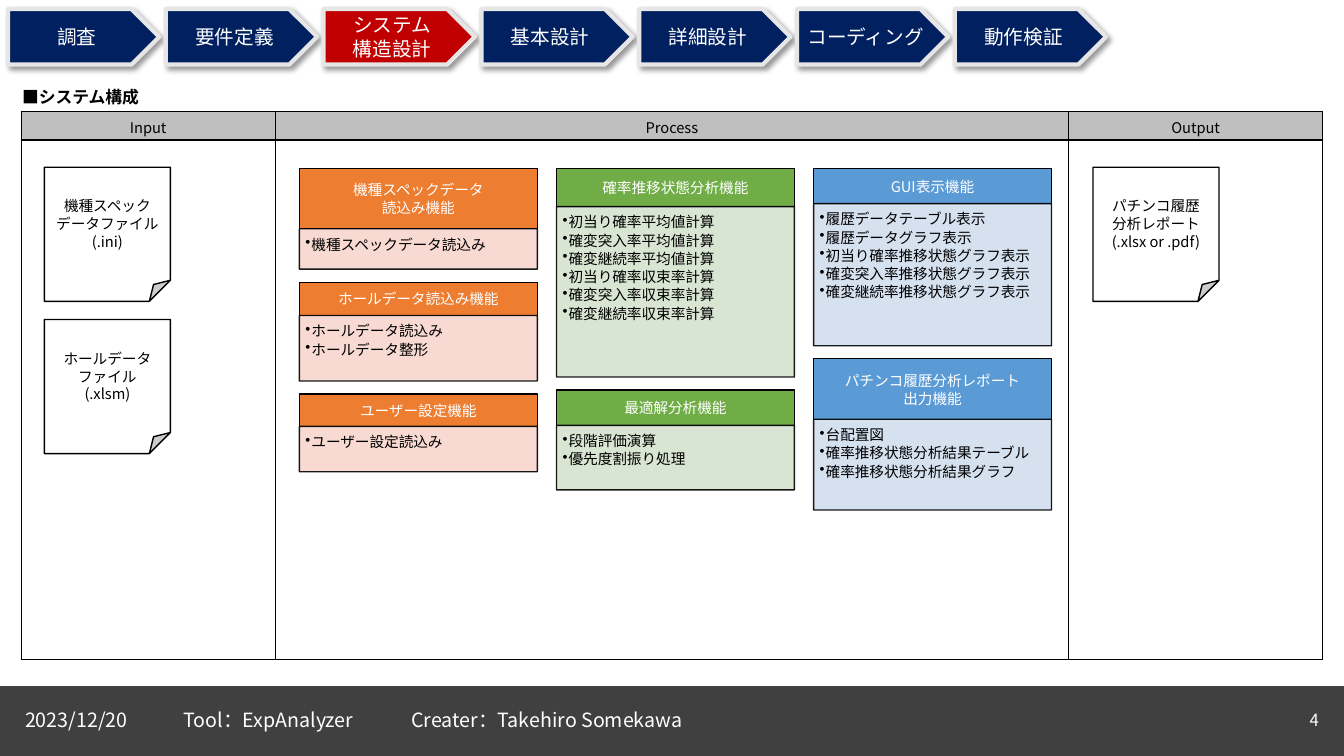
import lxml.etree
import pptx
import pptx.dml.color
import pptx.enum.shapes
import pptx.enum.text
import pptx.oxml.ns
import pptx.util

SHAPE = pptx.enum.shapes.MSO_SHAPE
ALIGN = pptx.enum.text.PP_ALIGN
ANCHOR = pptx.enum.text.MSO_ANCHOR
Inches = pptx.util.Inches
Pt = pptx.util.Pt
qn = pptx.oxml.ns.qn
SubElement = lxml.etree.SubElement

FONT = "Noto Sans CJK JP"
COLORS = {
    "navy": "002060", "red": "C00000", "silver": "E7E6E6", "footer": "404040",
    "header": "BFBFBF", "black": "000000", "white": "FFFFFF",
    "orange": "ED7D31", "orange_tint": "F8D7CE",
    "green": "70AD47", "green_tint": "D5E3CF",
    "blue": "5B9BD5", "blue_tint": "D2DEEF",
}
COLORS = {name: pptx.dml.color.RGBColor.from_string(value) for name, value in COLORS.items()}

presentation = pptx.Presentation()
presentation.slide_width = Inches(13.33)
presentation.slide_height = Inches(7.5)
slide = presentation.slides.add_slide(presentation.slide_layouts[6])


def add_box(preset, left, top, width, height, fill=None, line=None, line_width=1):
    """Add a shape, or a text box when preset is None; lengths are in inches."""
    area = [Inches(length) for length in (left, top, width, height)]
    if preset is None:
        return slide.shapes.add_textbox(*area)
    shape = slide.shapes.add_shape(preset, *area)
    shape.shadow.inherit = False
    shape.fill.solid()
    shape.fill.fore_color.rgb = COLORS[fill]
    shape.line.color.rgb = COLORS[line]
    shape.line.width = Pt(line_width)
    return shape


def write(frame, text, size, color, align=ALIGN.CENTER, anchor=ANCHOR.MIDDLE,
          insets=(0.1, 0.05, 0.1, 0.05), leading=1.22, bold=False):
    """Fill a text frame, one paragraph a line; leading is a share of the font size."""
    frame.text = text
    frame.word_wrap = True
    frame.vertical_anchor = anchor
    (frame.margin_left, frame.margin_top,
     frame.margin_right, frame.margin_bottom) = [Inches(inset) for inset in insets]
    for paragraph in frame.paragraphs:
        paragraph.alignment = align
        paragraph.line_spacing = Pt(round(size * leading, 1))
        for run in paragraph.runs:
            run.font.size = Pt(size)
            run.font.bold = bold
            run.font.color.rgb = COLORS[color]
            run.font.name = FONT
            SubElement(run.font._element, qn("a:ea"), typeface=FONT)


# Footer
add_box(SHAPE.RECTANGLE, 0, 6.81, 13.33, 0.69, "footer", "footer")
tool_line = None
for text, left, width, size, align in [
    ("2023/12/20", 0.15, 1.5, 14, ALIGN.LEFT),
    ("4", 12.38, 0.8, 12, ALIGN.RIGHT),
    ("Tool：ExpAnalyzer\tCreater：Takehiro Somekawa", 1.72, 10.6, 14, ALIGN.LEFT),
]:
    tool_line = add_box(None, left, 6.94, width, 0.4)
    write(tool_line.text_frame, text, size, "white", align)
tab_list = SubElement(tool_line.text_frame.paragraphs[0]._p.get_or_add_pPr(), qn("a:tabLst"))
SubElement(tab_list, qn("a:tab"), pos=str(Inches(2.26)), algn="l")

# Phase arrows
phases = ["調査", "要件定義", "システム\n構造設計", "基本設計", "詳細設計", "コーディング", "動作検証"]
CURRENT_PHASE = 2
for index, phase in enumerate(phases):
    fill = "red" if index == CURRENT_PHASE else "navy"
    arrow = add_box(SHAPE.PENTAGON, 0.08 + 1.565 * index, 0.09, 1.5, 0.55, fill, "silver", 3)
    write(arrow.text_frame, phase, 14, "white", insets=(0.05, 0.05, 0.05, 0.05))
    effects = arrow._element.spPr.find(qn("a:effectLst"))
    shadow = SubElement(effects, qn("a:outerShdw"), blurRad=str(Pt(4)), dist=str(Pt(3)),
                        dir="2700000", algn="tl", rotWithShape="0")
    shadow_color = SubElement(shadow, qn("a:srgbClr"), val="000000")
    SubElement(shadow_color, qn("a:alpha"), val="40000")

# Heading and table
heading = add_box(None, 0.12, 0.81, 3.32, 0.3)
write(heading.text_frame, "■システム構成", 12, "black", ALIGN.LEFT, ANCHOR.TOP, bold=True)

table = slide.shapes.add_table(2, 3, Inches(0.21), Inches(1.11), Inches(12.91), Inches(5.43)).table
table.first_row = table.horz_banding = False
for column, width in zip(table.columns, (2.52, 7.87, 2.52)):
    column.width = Inches(width)
for row, height, fill in zip(table.rows, (0.28, 5.15), ("header", "white")):
    row.height = Inches(height)
    for cell in row.cells:
        properties = cell._tc.get_or_add_tcPr()
        for side in ("lnL", "lnR", "lnT", "lnB"):
            border = SubElement(properties, qn("a:" + side), w=str(Pt(1)))
            SubElement(SubElement(border, qn("a:solidFill")), qn("a:srgbClr"), val="000000")
        cell.fill.solid()
        cell.fill.fore_color.rgb = COLORS[fill]
for cell, title in zip(table.rows[0].cells, ("Input", "Process", "Output")):
    write(cell.text_frame, title, 10.5, "black")
    cell.margin_top, cell.margin_bottom = Inches(0.08), Inches(0.02)

# Input and output files
for left, top, text in [
    (0.44, 1.66, "機種スペックデータファイル\n(.ini)"),
    (0.44, 3.17, "ホールデータファイル\n(.xlsm)"),
    (10.84, 1.66, "パチンコ履歴\n分析レポート\n(.xlsx or .pdf)"),
]:
    document = add_box(SHAPE.FOLDED_CORNER, left, top, 1.25, 1.33, "white", "black")
    write(document.text_frame, text, 10.5, "black")

# Process functions: (title, title height, body height, items) stacked per column
functions = {
    "orange": [
        ("機種スペックデータ\n読込み機能", 0.6, 0.4, ["機種スペックデータ読込み"]),
        ("ホールデータ読込み機能", 0.33, 0.65, ["ホールデータ読込み", "ホールデータ整形"]),
        ("ユーザー設定機能", 0.32, 0.45, ["ユーザー設定読込み"]),
    ],
    "green": [
        ("確率推移状態分析機能", 0.38, 1.69, [
            "初当り確率平均値計算", "確変突入率平均値計算", "確変継続率平均値計算",
            "初当り確率収束率計算", "確変突入率収束率計算", "確変継続率収束率計算"]),
        ("最適解分析機能", 0.35, 0.64, ["段階評価演算", "優先度割振り処理"]),
    ],
    "blue": [
        ("GUI表示機能", 0.35, 1.41, [
            "履歴データテーブル表示", "履歴データグラフ表示", "初当り確率推移状態グラフ表示",
            "確変突入率推移状態グラフ表示", "確変継続率推移状態グラフ表示"]),
        ("パチンコ履歴分析レポート\n出力機能", 0.6, 0.9, [
            "台配置図", "確率推移状態分析結果テーブル", "確率推移状態分析結果グラフ"]),
    ],
}
CARD_WIDTH, CARD_GAP = 2.36, 0.13
for index, (color, cards) in enumerate(functions.items()):
    left, top = 2.97 + 2.55 * index, 1.67
    for title, title_height, body_height, items in cards:
        title_box = add_box(SHAPE.RECTANGLE, left, top, CARD_WIDTH, title_height, color, "black")
        write(title_box.text_frame, title, 10.5, "white")
        top += title_height
        body = add_box(SHAPE.RECTANGLE, left, top, CARD_WIDTH, body_height, color + "_tint", "black")
        for color_element in body._element.spPr.iter(qn("a:srgbClr")):
            SubElement(color_element, qn("a:alpha"), val="90000")
        write(body.text_frame, "\n".join(items), 10.5, "black", ALIGN.LEFT, ANCHOR.TOP,
              (0.06, 0.06, 0.09, 0.1), leading=1.24)
        for paragraph in body.text_frame.paragraphs:
            properties = paragraph._p.get_or_add_pPr()
            properties.set("marL", str(Inches(0.06)))
            properties.set("indent", str(-Inches(0.06)))
            SubElement(properties, qn("a:buChar"), char="•")
        top += body_height + CARD_GAP

presentation.save("out.pptx")
